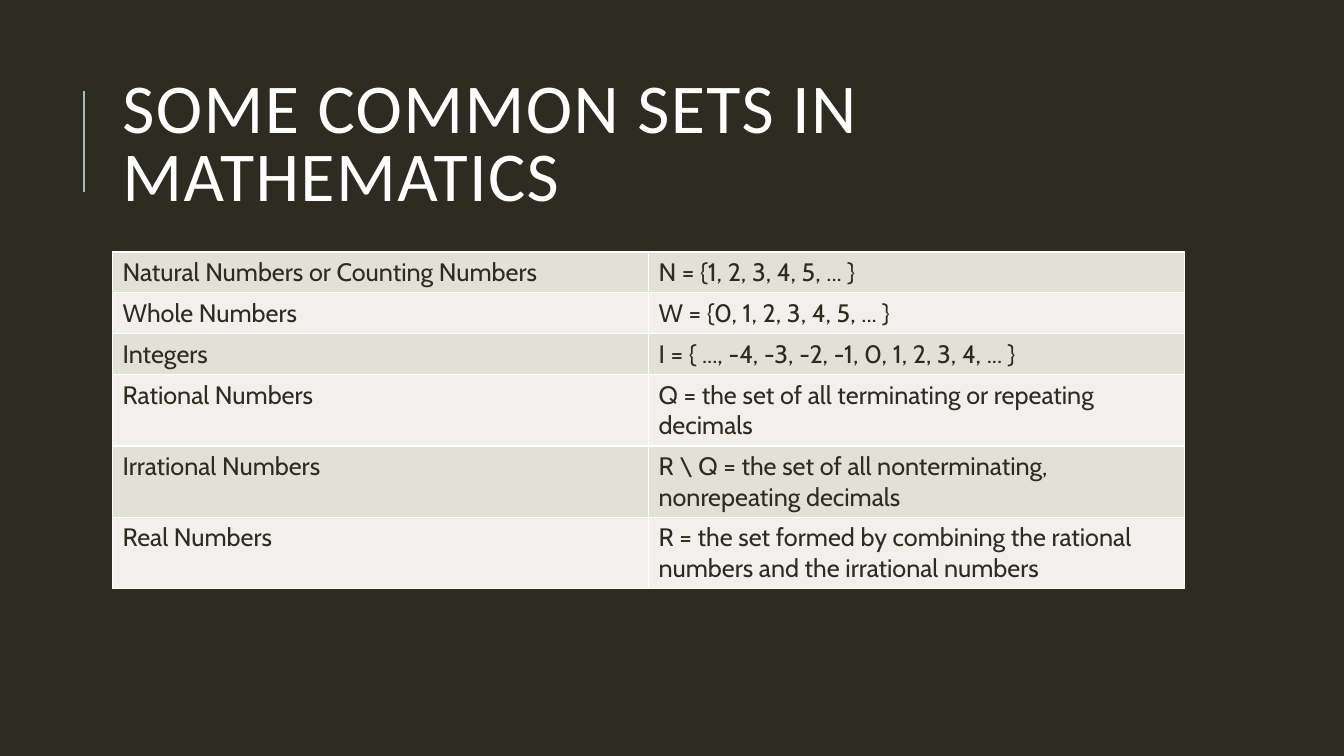
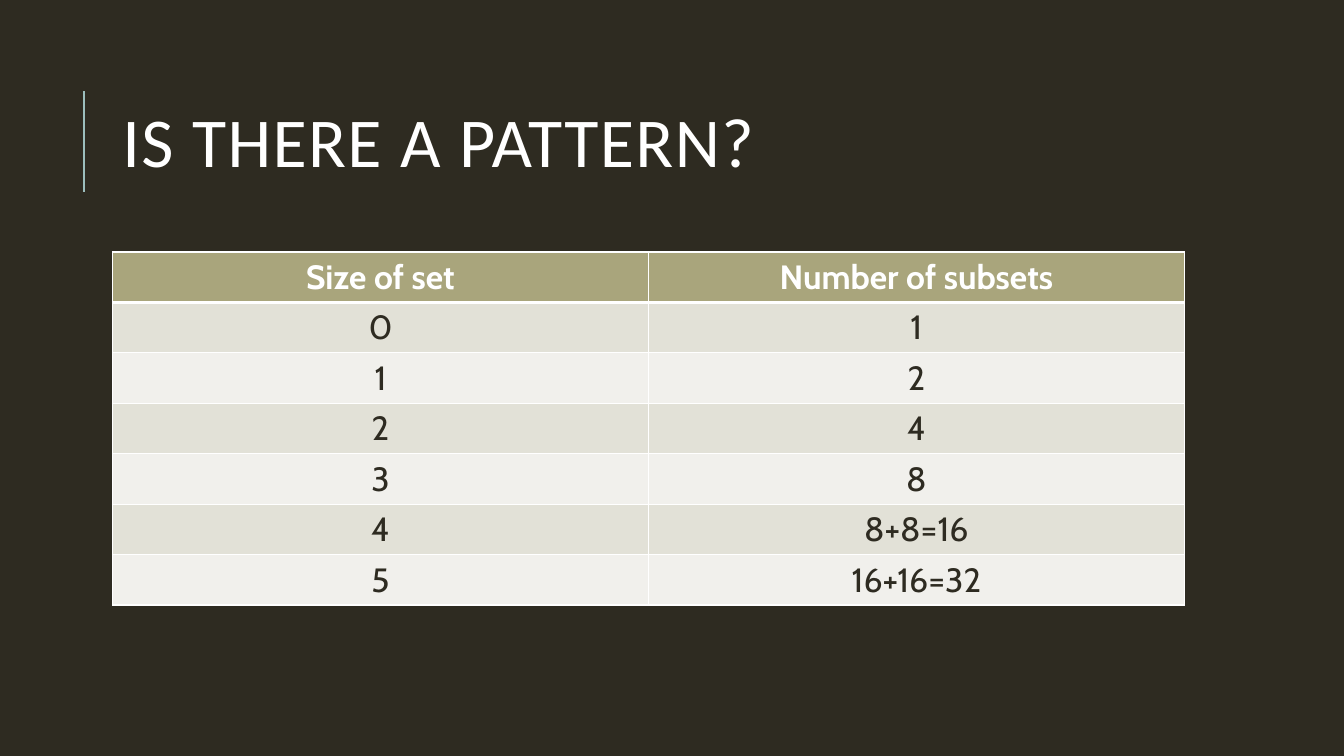
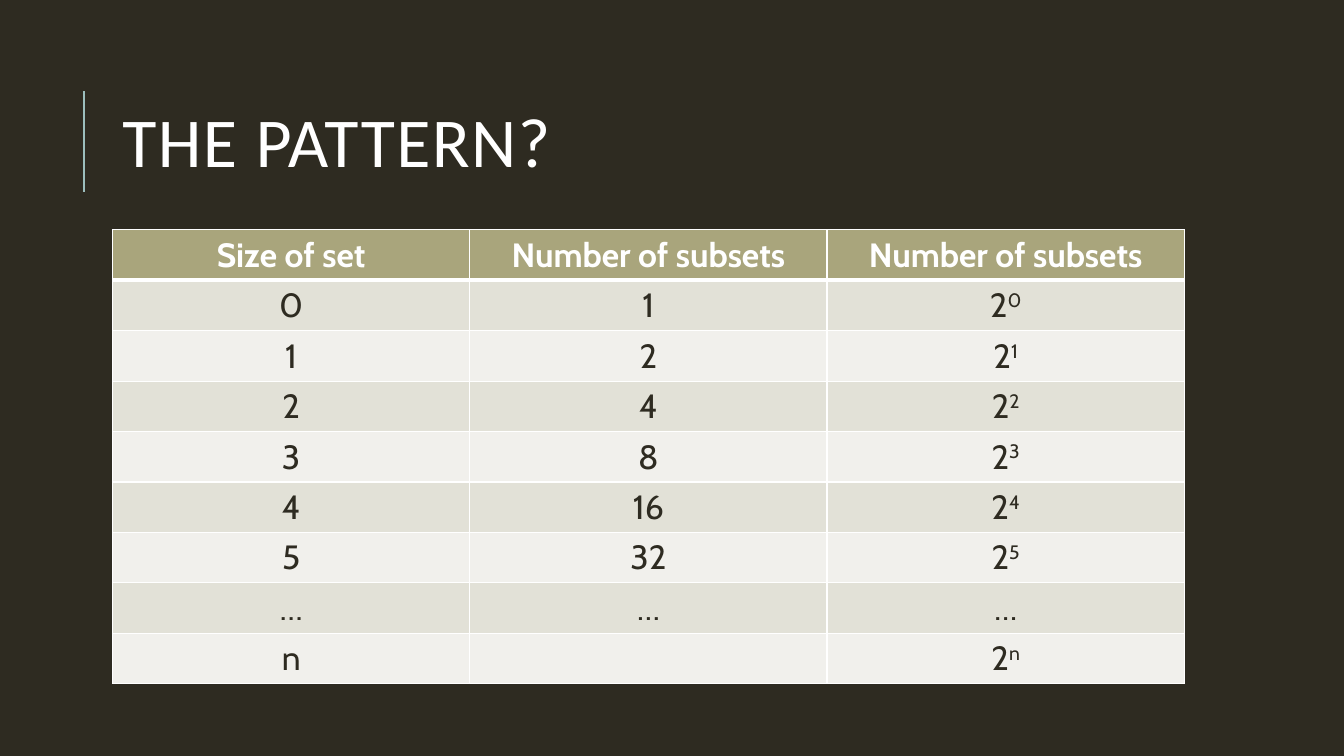
from dataclasses import dataclass

from lxml import etree
from pptx import Presentation
from pptx.dml.color import RGBColor
from pptx.enum.shapes import MSO_CONNECTOR
from pptx.enum.text import MSO_ANCHOR, PP_ALIGN
from pptx.oxml.ns import qn
from pptx.util import Emu, Inches, Pt

STRAIGHT = MSO_CONNECTOR.STRAIGHT
MIDDLE = MSO_ANCHOR.MIDDLE
LEFT, CENTER = PP_ALIGN.LEFT, PP_ALIGN.CENTER

# The slide is a grid of 160 columns by 90 rows.
COLS, ROWS = 160, 90
UNIT = Inches(7.5) / ROWS
SIDE, SPAN = 13.4, 127.6

DARK, WHITE, RULE = "2E2B21", "FFFFFF", "9CBEBD"
HEAD, BANDS = "A9A57C", ("E2E1D7", "F1F0EC")
TITLE_FONT, BODY_FONT = "Calibri", "Cabin"


@dataclass
class Page:
    """A title over a table; ^ in a cell starts a superscript."""
    title: str
    cells: list[tuple[str, ...]]
    top: float = 30
    row: float = 6
    size: int = 24
    align: PP_ALIGN = CENTER
    head: bool = True
    tall: int = 0  # closing rows that hold two lines


PAGES = [
    Page("SOME COMMON SETS IN MATHEMATICS", [
        ("Natural Numbers or Counting Numbers", "N = {1, 2, 3, 4, 5, ... }"),
        ("Whole Numbers", "W = {0, 1, 2, 3, 4, 5, ... }"),
        ("Integers", "I = { ..., -4, -3, -2, -1, 0, 1, 2, 3, 4, ... }"),
        ("Rational Numbers",
         "Q = the set of all terminating or repeating decimals"),
        ("Irrational Numbers",
         "R \\ Q = the set of all nonterminating, nonrepeating decimals"),
        ("Real Numbers", "R = the set formed by combining the rational "
         "numbers and the irrational numbers"),
    ], row=4.87, size=18, align=LEFT, head=False, tall=3),
    Page("IS THERE A PATTERN?", [
        ("Size of set", "Number of subsets"),
        ("0", "1"), ("1", "2"), ("2", "4"), ("3", "8"),
        ("4", "8+8=16"), ("5", "16+16=32"),
    ]),
    Page("THE PATTERN?", [
        ("Size of set", "Number of subsets", "Number of subsets"),
        *((str(n), str(2 ** n), f"2^{n}") for n in range(6)),
        ("…", "…", "…"),
        ("n", "", "2^n"),
    ], top=27.36),
]


def grid(units: float) -> Emu:
    return Emu(round(units * UNIT))


def paint(color: str) -> RGBColor:
    return RGBColor.from_string(color)


def style(run, font: str, size: int, color: str, bold: bool = False) -> None:
    run.font.name = font
    run.font.size = Pt(size)
    run.font.color.rgb = paint(color)
    run.font.bold = bold


def edge(cell, tag: str, width: float) -> None:
    """Draw one white border of a cell."""
    line = etree.SubElement(cell._tc.get_or_add_tcPr(), qn(f"a:{tag}"),
                            w=str(Pt(width)))
    fill = etree.SubElement(line, qn("a:solidFill"))
    etree.SubElement(fill, qn("a:srgbClr"), val=WHITE)


def add_title(slide, text: str) -> None:
    rule = slide.shapes.add_connector(
        STRAIGHT, grid(10), grid(22.8), grid(10), grid(10.8))
    rule.line.color.rgb = paint(RULE)
    rule.line.width = Pt(1.5)
    etree.SubElement(rule._element.spPr, qn("a:effectLst"))

    box = slide.shapes.add_textbox(
        grid(SIDE), grid(7.7), grid(SPAN), grid(19.7))
    frame = box.text_frame
    frame.word_wrap = True
    frame.vertical_anchor = MIDDLE
    frame.text = text
    para = frame.paragraphs[0]
    para.line_spacing = 0.8
    run = para.runs[0]
    style(run, TITLE_FONT, 50, WHITE)
    run.font._element.set("spc", "100")


def fill_cell(cell, text: str, page: Page, row: int) -> None:
    head = page.head and row == 0
    above = 3 if page.head and row == 1 else 1
    for tag, width in (("lnL", 1), ("lnR", 1), ("lnT", above),
                       ("lnB", 3 if head else 1)):
        edge(cell, tag, width)
    cell.fill.solid()
    cell.fill.fore_color.rgb = paint(
        HEAD if head else BANDS[(row - page.head) % 2])

    para = cell.text_frame.paragraphs[0]
    para.alignment = page.align
    base, _, power = text.partition("^")
    for part, lift in ((base, False), (power, True)):
        if part:
            run = para.add_run()
            run.text = part
            style(run, BODY_FONT, page.size, WHITE if head else DARK, head)
            if lift:
                run.font._element.set("baseline", "30000")


def add_grid(slide, page: Page) -> None:
    count, wide = len(page.cells), len(page.cells[0])
    table = slide.shapes.add_table(
        count, wide, grid(SIDE), grid(page.top), grid(SPAN),
        grid(page.row * count)).table
    table.first_row = page.head
    table.horz_banding = False
    for i, texts in enumerate(page.cells):
        tall = i >= count - page.tall
        table.rows[i].height = grid(8.5 if tall else page.row)
        for j, text in enumerate(texts):
            fill_cell(table.cell(i, j), text, page, i)


def main() -> None:
    deck = Presentation()
    deck.slide_width, deck.slide_height = grid(COLS), grid(ROWS)
    back = deck.slide_master.background.fill
    back.solid()
    back.fore_color.rgb = paint(DARK)
    for page in PAGES:
        slide = deck.slides.add_slide(deck.slide_layouts[6])
        add_title(slide, page.title)
        add_grid(slide, page)
    deck.save("out.pptx")


if __name__ == "__main__":
    main()
